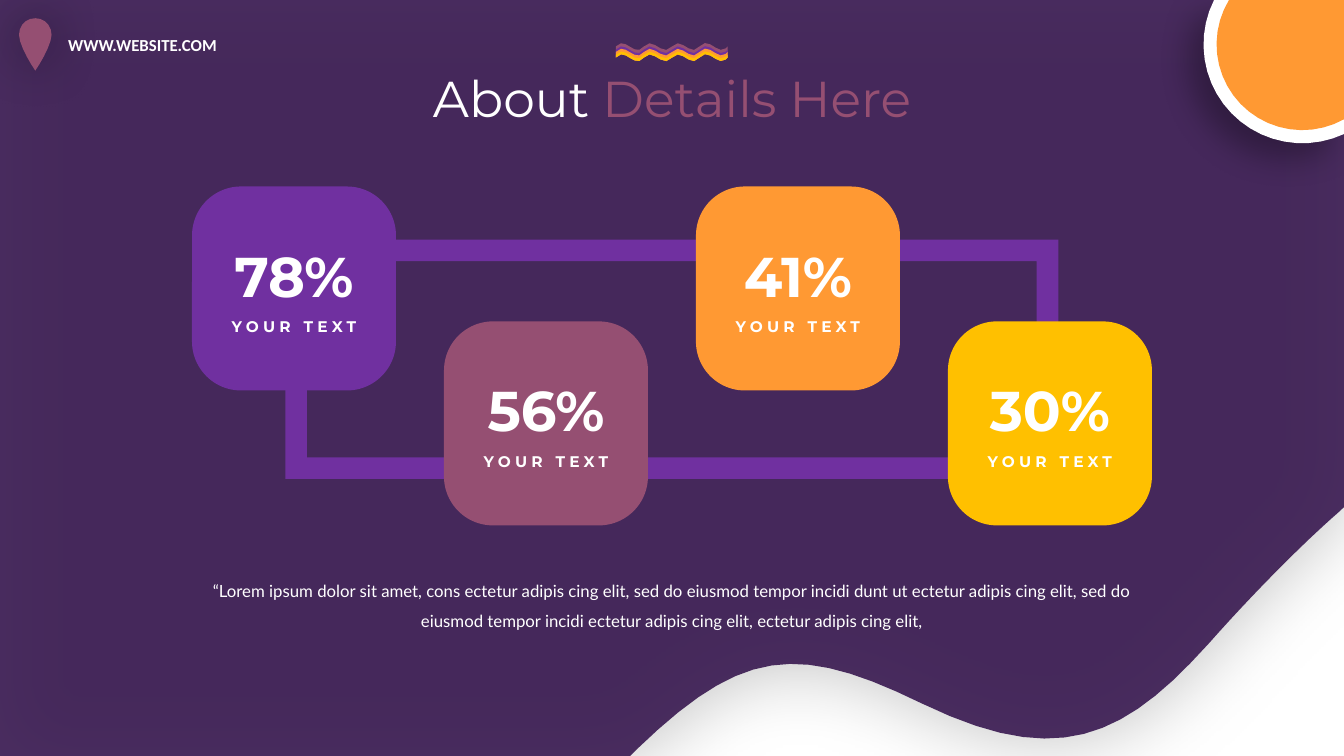
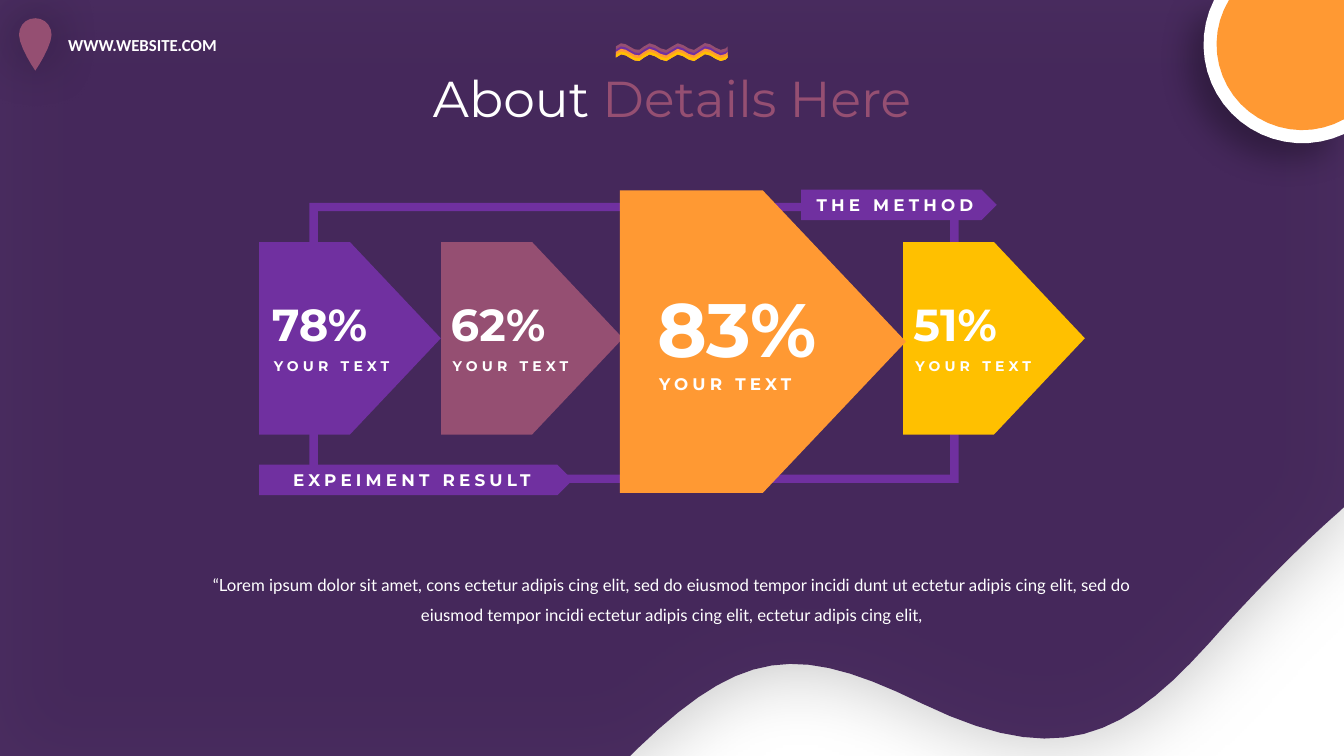
import math

import lxml.etree
import pptx
import pptx.dml.color
import pptx.enum.shapes
import pptx.enum.text
import pptx.oxml.ns
import pptx.util

Cm = pptx.util.Cm
SHAPE = pptx.enum.shapes.MSO_SHAPE
ALIGN = pptx.enum.text.PP_ALIGN
qn = pptx.oxml.ns.qn

WIDTH, HEIGHT = 33.87, 19.05
PLUM, VIOLET, ROSE = "381850", "7030A0", "954F72"
ORANGE, GOLD, WHITE = "FF9933", "FFC000", "FFFFFF"

VALLEY = [
    (0, 0), (WIDTH, 0), (WIDTH, 12.78), (33.71, 12.93),
    (32.99, 13.56, 31.8, 14.71, 30.45, 16.23),
    (28.3, 18.62, 26.64, 19.38, 23.24, 17.73),
    (20.07, 16.18, 18.69, 16.33, 16.03, 18.9),
    (15.88, HEIGHT), (0, HEIGHT),
]
PIN = [
    (0.89, 0.46),
    (1.12, 0.46, 1.3, 0.64, 1.3, 0.88),
    (1.3, 1.1, 1.05, 1.55, 0.89, 1.78),
    (0.73, 1.55, 0.48, 1.1, 0.48, 0.88),
    (0.48, 0.64, 0.66, 0.46, 0.89, 0.46),
]
CREST = [
    (15.52, 1.17), (15.65, 1.09),
    (15.85, 1.07, 16.03, 1.42, 16.23, 1.17),
    (16.46, 0.89, 16.69, 1.47, 16.94, 1.17),
    (17.17, 0.89, 17.4, 1.47, 17.63, 1.17),
    (17.86, 0.89, 18.08, 1.4, 18.29, 1.22),
    (18.34, 1.17),
]
QUOTE = (
    "“Lorem ipsum dolor sit amet, cons ectetur adipis cing elit, sed do eiusmod "
    "tempor incidi dunt ut ectetur adipis cing elit, sed do eiusmod tempor incidi "
    "ectetur adipis cing elit, ectetur adipis cing elit,"
)


def rgb(code):
    return pptx.dml.color.RGBColor.from_string(code)


def trace(segments, steps=5):
    points = []
    for segment in segments:
        if len(segment) == 2:
            points.append(segment)
            continue
        corners = [points[-1], segment[0:2], segment[2:4], segment[4:6]]
        for step in range(1, steps + 1):
            t = step / steps
            weights = [math.comb(3, i) * t**i * (1 - t) ** (3 - i) for i in range(4)]
            points.append(tuple(
                sum(weight * corner[axis] for weight, corner in zip(weights, corners))
                for axis in (0, 1)
            ))
    return points


def lowered(points, drop):
    return [(x, y + drop) for x, y in points]


def corner_disc(radius, center_x=32.82, center_y=1.12, steps=20):
    start = math.acos((WIDTH - center_x) / radius)
    sweep = math.pi + math.asin(center_y / radius) - start
    turns = [start + sweep * step / steps for step in range(steps + 1)]
    return [(WIDTH, 0)] + [
        (center_x + radius * math.cos(turn), center_y + radius * math.sin(turn))
        for turn in turns
    ]


def write(paragraph, text, size=12, font="Montserrat", color=WHITE, bold=False,
          spacing=0, align=ALIGN.LEFT, leading=None):
    paragraph.alignment = align
    if leading:
        paragraph.line_spacing = leading
    run = paragraph.add_run()
    run.text = text
    run.font.size = pptx.util.Pt(size)
    run.font.name = font
    run.font.bold = bold
    run.font.color.rgb = rgb(color)
    if spacing:
        run.font._element.set("spc", str(spacing * 100))


class Deck:
    def __init__(self):
        self.presentation = pptx.Presentation()
        self.presentation.slide_width = Cm(WIDTH)
        self.presentation.slide_height = Cm(HEIGHT)
        self.slide = None

    def paint(self, shape, color, opacity=100, shadow=None):
        shape.fill.solid()
        shape.fill.fore_color.rgb = rgb(color)
        shape.line.fill.background()
        shape.shadow.inherit = False
        properties = shape.element.spPr
        if opacity < 100:
            tint = properties.find(qn("a:solidFill")).find(qn("a:srgbClr"))
            lxml.etree.SubElement(tint, qn("a:alpha"), val=str(opacity * 1000))
        if shadow:
            strength, blur, distance, angle = shadow
            cast = lxml.etree.SubElement(
                properties.find(qn("a:effectLst")), qn("a:outerShdw"),
                blurRad=str(int(pptx.util.Pt(blur))),
                dist=str(int(pptx.util.Pt(distance))),
                dir=str(angle * 60000), rotWithShape="0")
            shade = lxml.etree.SubElement(cast, qn("a:srgbClr"), val="000000")
            lxml.etree.SubElement(shade, qn("a:alpha"), val=str(strength * 1000))

    def outline(self, points, color, **finish):
        corners = [(Cm(x), Cm(y)) for x, y in points]
        builder = self.slide.shapes.build_freeform(*corners[0], scale=1.0)
        builder.add_line_segments(corners[1:], close=True)
        self.paint(builder.convert_to_shape(), color, **finish)

    def shape(self, kind, left, top, width, height, color, adjust=None):
        shape = self.slide.shapes.add_shape(
            kind, Cm(left), Cm(top), Cm(width), Cm(height))
        if adjust is not None:
            shape.adjustments[0] = adjust
        self.paint(shape, color)
        return shape

    def text(self, text, left, top, width, height, **style):
        frame = self.slide.shapes.add_textbox(
            Cm(left), Cm(top), Cm(width), Cm(height)).text_frame
        frame.word_wrap = True
        write(frame.paragraphs[0], text, **style)

    def banner(self, text, left, top, width):
        frame = self.shape(SHAPE.PENTAGON, left, top, width, 0.77, VIOLET).text_frame
        frame.word_wrap = False
        write(frame.paragraphs[0], text, bold=True, spacing=3, align=ALIGN.CENTER)

    def title(self, lead, accent):
        title = self.slide.shapes.title
        title.left, title.top = Cm(10.19), Cm(1.57)
        title.width, title.height = Cm(13.49), Cm(1.8)
        title.element.getparent().append(title.element)
        frame = title.text_frame
        frame.word_wrap = False
        frame.auto_size = pptx.enum.text.MSO_AUTO_SIZE.NONE
        frame.vertical_anchor = pptx.enum.text.MSO_ANCHOR.TOP
        for words, color in ((lead, WHITE), (accent, ROSE)):
            write(frame.paragraphs[0], words, size=36, color=color, align=ALIGN.CENTER)

    def quote(self, top):
        self.text(QUOTE, 4.5, top, 24.87, 1.7, font="Lato",
                  align=ALIGN.CENTER, leading=1.5)

    def start_slide(self):
        layout = self.presentation.slide_layouts[5]
        self.slide = self.presentation.slides.add_slide(layout)
        self.outline(trace(VALLEY, steps=14), PLUM, opacity=90, shadow=(26, 57, 3, 45))
        self.outline(trace(PIN), ROSE, shadow=(40, 38, 0, 0))
        self.text("WWW.WEBSITE.COM", 1.47, 0.74, 6.43, 0.76, font="Calibri", bold=True)
        self.outline(corner_disc(2.49), WHITE, shadow=(29, 23, 15, 135))
        self.outline(corner_disc(2.16), ORANGE)
        self.title("About ", "Details Here")
        crest = trace(CREST)
        trough = lowered(crest, 0.28)[::-1]
        for color, drop in ((ROSE, 0), (VIOLET, 0.08), (ORANGE, 0.14), (GOLD, 0.21)):
            self.outline(lowered(crest, drop) + trough, color)


def build_cards(deck):
    deck.start_slide()
    deck.shape(SHAPE.FRAME, 7.19, 6.04, 19.48, 6.03, VIOLET, 0.09)
    side, step = 5.14, 6.35
    first = (WIDTH - 3 * step - side) / 2
    cards = (("78%", VIOLET), ("56%", ROSE), ("41%", ORANGE), ("30%", GOLD))
    for index, (share, color) in enumerate(cards):
        left = first + index * step
        top = 4.7 + index % 2 * 3.4
        deck.shape(SHAPE.ROUNDED_RECTANGLE, left, top, side, side, color, 0.24)
        label = {"bold": True, "align": ALIGN.CENTER}
        width = 4
        inner = left + (side - width) / 2
        deck.text("YOUR TEXT", inner, top + 3.16, width, 0.73,
                  size=11, spacing=3, **label)
        deck.text(share, inner, top + 1.25, width, 1.96, size=40, **label)
    deck.quote(14.25)


def build_arrows(deck):
    deck.start_slide()
    deck.shape(SHAPE.FRAME, 7.8, 5.11, 16.36, 7.06, VIOLET, 0.03)
    small = {"top": 6.1, "width": 4.58, "height": 4.85}
    large = {"top": 4.8, "width": 7.21, "height": 7.62}
    small_text = {"number": (7.34, 3.1, 1.63, 32), "caption": (8.89, 3.7, 0.69, 10)}
    large_text = {"number": (6.99, 4.7, 2.57, 54), "caption": (9.3, 4.1, 0.76, 12)}
    arrows = (
        ("78%", VIOLET, 6.53, 6.6, small, small_text),
        ("62%", ROSE, 11.12, 11.11, small, small_text),
        ("51%", GOLD, 22.76, 22.77, small, small_text),
        ("83%", ORANGE, 15.62, 16.31, large, large_text),
    )
    for share, color, left, text_left, body, lines in arrows:
        deck.shape(SHAPE.PENTAGON, left=left, color=color, **body)
        top, width, height, size = lines["caption"]
        deck.text("YOUR TEXT", text_left + 0.05, top, width, height,
                  size=size, bold=True, spacing=3)
        top, width, height, size = lines["number"]
        deck.text(share, text_left, top, width, height, size=size, bold=True)
    deck.banner("EXPEIMENT RESULT", 6.53, 11.71, 7.9)
    deck.banner("THE METHOD", 20.19, 4.78, 4.93)
    deck.quote(14.1)


def main():
    deck = Deck()
    build_cards(deck)
    build_arrows(deck)
    deck.presentation.save("out.pptx")


if __name__ == "__main__":
    main()
